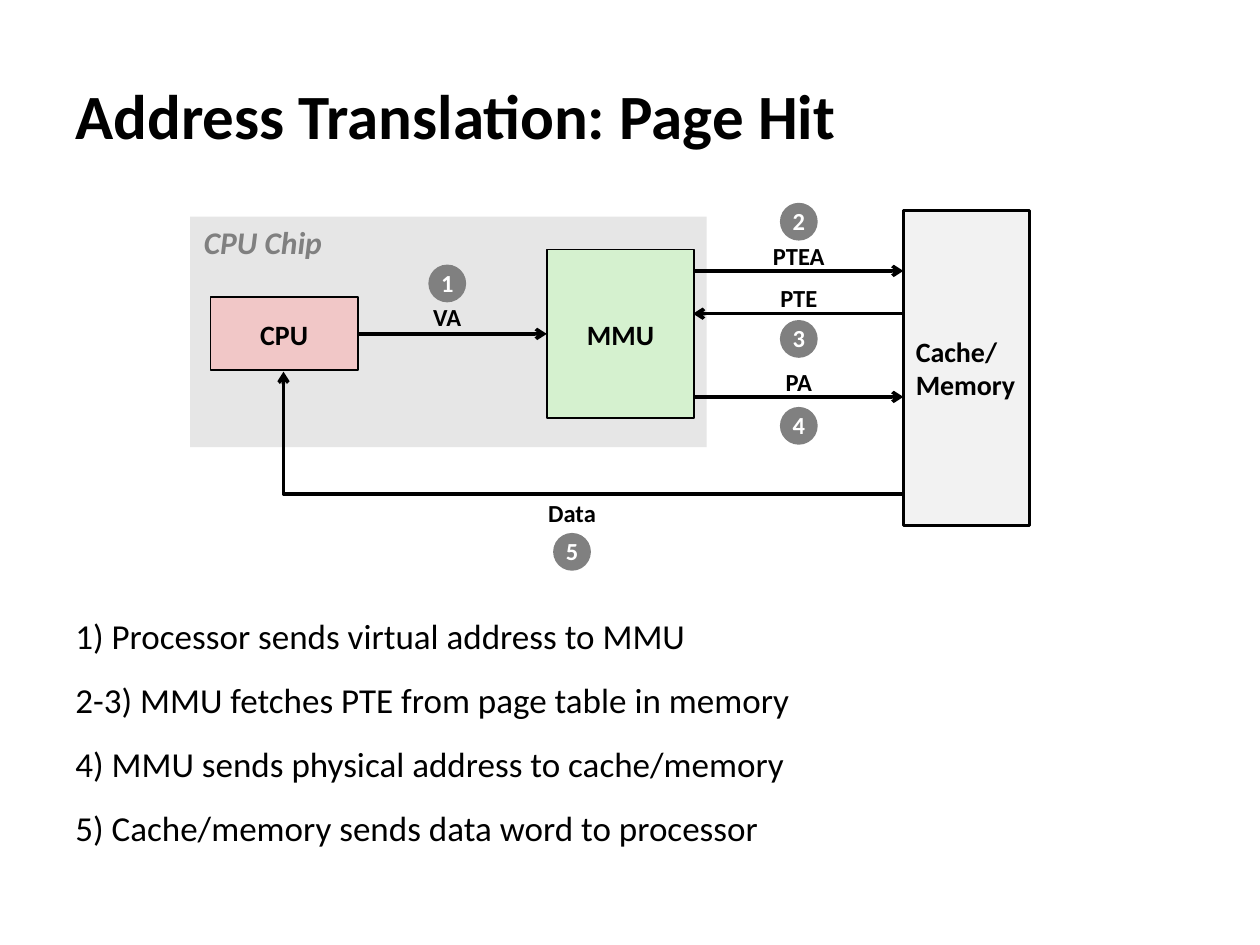
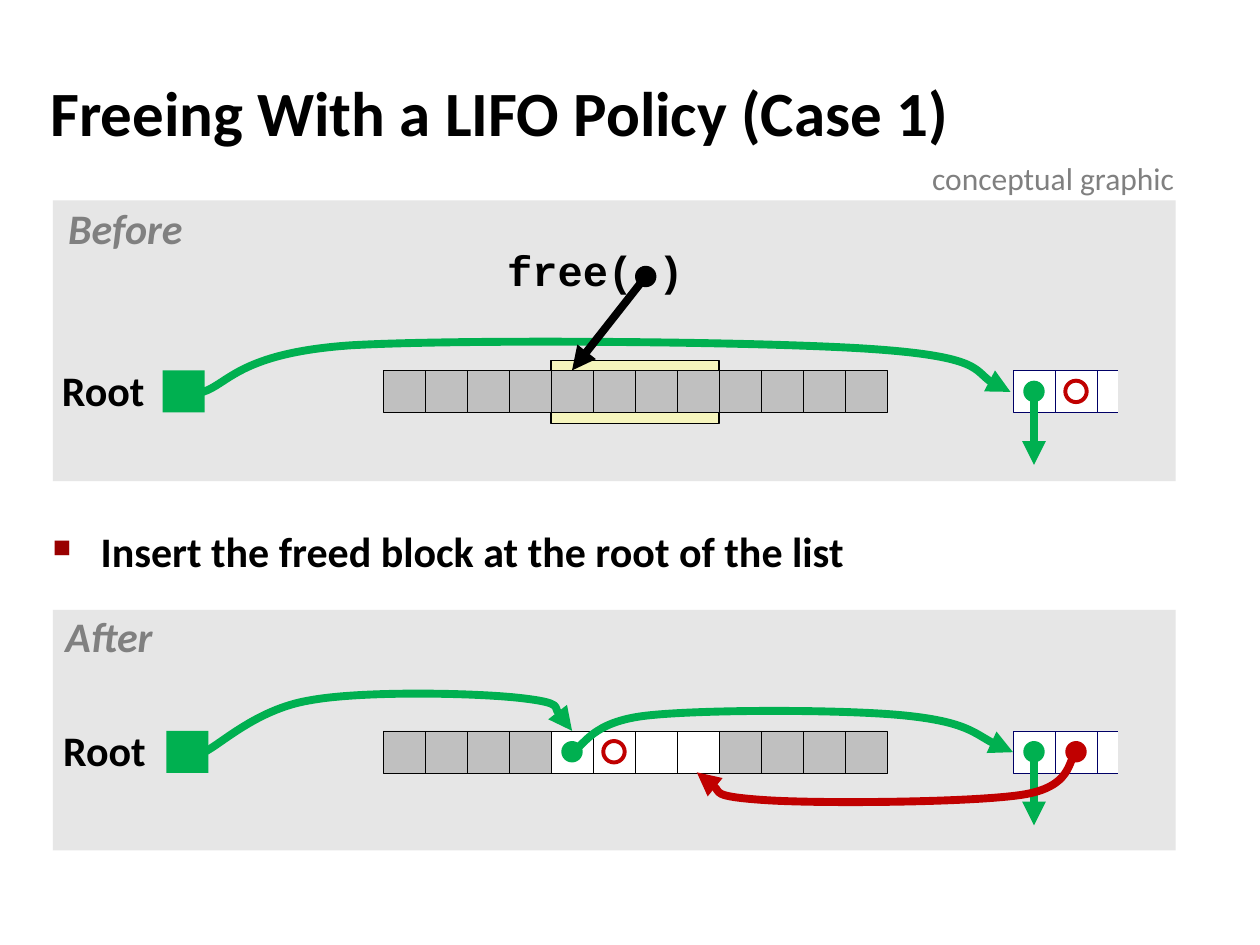
from lxml import etree
from pptx import Presentation
from pptx import util as u
from pptx.dml.color import RGBColor
from pptx.enum import shapes as sh
from pptx.enum import text as tx
from pptx.oxml.ns import qn

INK = {"black": "000000", "white": "FFFFFF", "panel": "E6E6E6", "gray": "808080",
       "cell": "C0C0C0", "cream": "F6F5BD", "green": "00B050", "red": "C00000",
       "navy": "000066", "pink": "F1C7C7", "mint": "D5F1CF", "pale": "F2F2F2",
       "bullet": "990000"}
BOX, OVAL = sh.MSO_SHAPE.RECTANGLE, sh.MSO_SHAPE.OVAL
MID, TOP = tx.MSO_ANCHOR.MIDDLE, tx.MSO_ANCHOR.TOP
LEFT, CENTER = tx.PP_ALIGN.LEFT, tx.PP_ALIGN.CENTER

TITLES = [("Address Translation: Page Hit", 0.5, 0.48, 1),
          ("Freeing With a LIFO Policy (Case 1)", 0.3, 0.5, 0.87)]

STEPS = ["1) Processor sends virtual address to MMU",
         "2-3) MMU fetches PTE from page table in memory",
         "4) MMU sends physical address to cache/memory",
         "5) Cache/memory sends data word to processor"]
CHIP = (1.51, 1.72, 4.1, 1.83)
PARTS = {"CPU": ((1.67, 2.36, 1.17, 0.58), "pink", 1),
         "MMU": ((4.34, 1.98, 1.17, 1.34), "mint", 1),
         "Cache/\nMemory": ((7.17, 1.67, 1, 2.5), "pale", 1.5)}
SIGNALS = [("VA", 3.55, 2.52, "1", 2.25), ("PTEA", 6.34, 2.04, "2", 1.76),
           ("PTE", 6.34, 2.37, "3", 2.69), ("PA", 6.34, 3.04, "4", 3.38),
           ("Data", 4.54, 4.08, "5", 4.38)]
TAG = (0.9, 0.33)
BUS = [((5.5, 2.15), (7.17, 2.15)), ((7.17, 2.49), (5.5, 2.49)),
       ((5.5, 3.15), (7.17, 3.15))]

CELL, DOT, HEAP, LIST = 1 / 3, 0.17, 3.04, 8.04
FREED = range(4, 8)
SCENES = [
    {"name": "Before", "tag": (0.48, 1.6, 1.03), "panel": (0.42, 1.59, 8.91, 2.23),
     "row": 2.94, "root": 1.29, "label": 0.44, "clear": (),
     "links": [("green", [(1.61, 3.11), (1.81, 3.05), (1.9, 2.8), (2.79, 2.74),
                          (3.67, 2.69), (6.05, 2.71), (6.92, 2.77),
                          (7.79, 2.83), (7.79, 3.04), (8.02, 3.11)])],
     "dots": [(LIST, 0, "green", True), (LIST, 1, "red", False)]},
    {"name": "After", "tag": (0.46, 4.84, 0.81), "panel": (0.42, 4.84, 8.91, 1.91),
     "row": 5.8, "root": 1.32, "label": 0.45, "clear": FREED,
     "links": [("green", [(4.54, 5.97), (4.64, 5.92), (4.69, 5.73), (5.13, 5.68),
                          (5.57, 5.63), (6.71, 5.63), (7.19, 5.68),
                          (7.67, 5.73), (7.86, 5.91), (8.04, 5.97)]),
               ("red", [(8.54, 5.98), (8.47, 6.03), (8.52, 6.25), (8.1, 6.31),
                        (7.69, 6.37), (6.49, 6.38), (6.06, 6.35),
                        (5.63, 6.32), (5.64, 6.18), (5.53, 6.13)]),
               ("green", [(1.62, 5.97), (1.76, 5.9), (2.04, 5.63), (2.45, 5.56),
                          (2.87, 5.48), (3.78, 5.5), (4.13, 5.54),
                          (4.48, 5.58), (4.46, 5.74), (4.54, 5.8)])],
     "dots": [(HEAP, 4, "green", True), (HEAP, 5, "red", False),
              (LIST, 0, "green", True), (LIST, 1, "red", True)]},
]
CALL = {"box": (3.97, 1.94, 1.51, 0.47), "dot": (5.04, 2.11), "tip": (4.54, 2.94)}
RULE = "Insert the freed block at the root of the list"


def rgb(key):
    return RGBColor.from_string(INK[key])


def inch(vals):
    return [u.Inches(v) for v in vals]


def put(page, box, fill=None, line=None, width=1, kind=BOX):
    part = page.shapes.add_shape(kind, *inch(box))
    part.shadow.inherit = False
    paint(part, fill, line, width)
    return part


def paint(part, fill, line, width):
    if fill:
        part.fill.solid()
        part.fill.fore_color.rgb = rgb(fill)
    else:
        part.fill.background()
    if line:
        part.line.color.rgb = rgb(line)
        part.line.width = u.Pt(width)
    else:
        part.line.fill.background()


def write(part, words, size, ink="black", bold=True, slant=False, font="Calibri",
          align=CENTER, anchor=MID, wrap=False, space=1, gap=0, pad=0.1):
    frame = part.text_frame
    frame.text = words
    frame.word_wrap = wrap
    frame.vertical_anchor = anchor
    frame.margin_left = frame.margin_right = u.Inches(pad)
    frame.margin_top = frame.margin_bottom = u.Inches(0.05)
    for i, para in enumerate(frame.paragraphs):
        para.alignment = align
        para.line_spacing = space
        para.space_before = u.Pt(gap if i else 0)
        for run in para.runs:
            face = run.font
            face.name, face.size, face.bold, face.italic = font, u.Pt(size), bold, slant
            face.color.rgb = rgb(ink)


def note(page, box, words, size, **look):
    part = page.shapes.add_textbox(*inch(box))
    write(part, words, size, **look)
    return part


def tip(part, style):
    etree.SubElement(part.line._get_or_add_ln(), qn("a:tailEnd"), type=style)


def wire(page, start, end, ink="black", width=2, style="arrow"):
    part = page.shapes.add_connector(sh.MSO_CONNECTOR.STRAIGHT, *inch(start + end))
    part.line.color.rgb = rgb(ink)
    part.line.width = u.Pt(width)
    tip(part, style)
    etree.SubElement(part._element.spPr, qn("a:effectLst"))
    return part


def curve(page, ink, points):
    spots = [inch(p) for p in points]
    pen = page.shapes.build_freeform(*spots[0], scale=1)
    pen.add_line_segments(spots[1:], close=False)
    part = pen.convert_to_shape()
    part.shadow.inherit = False
    paint(part, None, ink, 4.5)
    tip(part, "triangle")
    trace = part._element.find(".//" + qn("a:path"))
    steps = trace.findall(qn("a:lnTo"))
    for i in range(0, len(steps), 3):
        bend = etree.SubElement(trace, qn("a:cubicBezTo"))
        for step in steps[i:i + 3]:
            bend.append(step[0])
            trace.remove(step)


def start(deck, title):
    words, left, top, space = title
    page = deck.slides.add_slide(deck.slide_layouts[6])
    note(page, (left, top, 9.53, 0.86), words, 36, align=LEFT, wrap=True, space=space)
    return page


def hit(page):
    put(page, CHIP, "panel")
    note(page, (1.52, 1.72, 1.16, 0.4), "CPU Chip", 18, ink="gray", slant=True,
         align=LEFT, anchor=TOP)
    note(page, (0.5, 4.83, 7.42, 2.25), "\n".join(STEPS), 20, bold=False,
         align=LEFT, anchor=TOP, wrap=True, gap=12.5)
    made = {}
    for name, (box, fill, width) in PARTS.items():
        made[name] = put(page, box, fill, "black", width)
        write(made[name], name, 16, align=LEFT if "\n" in name else CENTER)
    link = wire(page, (2.84, 2.65), (4.34, 2.65))
    link.begin_connect(made["CPU"], 3)
    link.end_connect(made["MMU"], 1)
    for ends in BUS:
        wire(page, *ends)
    back = wire(page, (2.25, 2.95), (7.17, 3.92))
    back._element.spPr.find(qn("a:prstGeom")).set("prst", "bentConnector2")
    back._element.spPr.find(qn("a:xfrm")).set("rot", "10800000")
    wide, high = TAG
    for name, x, y, num, row in SIGNALS:
        note(page, (x - wide / 2, y - high / 2, wide, high), name, 14, space=0.98)
        badge = put(page, (x - 0.15, row - 0.15, 0.3, 0.3), "gray", kind=OVAL)
        write(badge, num, 14, ink="white", space=0.98)


def scene(page, data):
    row = data["row"]
    small = {"anchor": TOP, "space": 0.9, "pad": 0.05}
    put(page, data["panel"], "panel")
    if not data["clear"]:
        put(page, (HEAP + FREED[0] * CELL, row - 0.08, len(FREED) * CELL, 0.5),
            "cream", "black", 0.75)
    for i in range(12):
        fill = "white" if i in data["clear"] else "cell"
        put(page, (HEAP + i * CELL, row, CELL, CELL), fill, "black", 0.25)
    for i in range(3):
        put(page, (LIST + i * CELL, row, CELL, CELL), "white", "navy", 0.25)
    put(page, (LIST + 2.5 * CELL, row - 0.08, CELL, 0.5), "panel")
    put(page, (data["root"], row, CELL, CELL), "green")
    edge = (CELL - DOT) / 2
    for left, i, ink, solid in data["dots"]:
        box = (left + i * CELL + edge, row + edge, DOT, DOT)
        put(page, box, ink if solid else None, None if solid else ink, 2.25, OVAL)
    mid = LIST + CELL / 2
    wire(page, (mid, row + CELL / 2), (mid, row + 0.75), "green", 4.5, "triangle")
    for ink, points in data["links"]:
        curve(page, ink, points)
    note(page, (data["label"], row - 0.05, 0.76, 0.47), "Root", 24, **small)
    note(page, data["tag"] + (0.47,), data["name"], 24, ink="gray", slant=True, **small)


def free(page):
    for data in SCENES:
        scene(page, data)
    x, y = CALL["dot"]
    note(page, CALL["box"], "free( )", 24, font="Courier New", anchor=TOP,
         space=0.9, pad=0.05)
    put(page, (x, y, DOT, DOT), "black", kind=OVAL)
    wire(page, (x + DOT / 2, y + DOT / 2), CALL["tip"], "black", 4.5, "triangle")
    note(page, (7.3, 1.21, 2.17, 0.4), "conceptual graphic", 18, ink="gray",
         bold=False, align=LEFT, anchor=TOP)
    rule = note(page, (0.32, 4.15, 9.09, 0.61), RULE, 24, align=LEFT, anchor=TOP,
                wrap=True, space=0.95)
    props = rule.text_frame.paragraphs[0]._p.get_or_add_pPr()
    props.set("marL", str(u.Inches(0.38)))
    props.set("indent", str(u.Inches(-0.38)))
    tint = etree.SubElement(props, qn("a:buClr"))
    etree.SubElement(tint, qn("a:srgbClr"), val=INK["bullet"])
    etree.SubElement(props, qn("a:buSzPct"), val="60000")
    etree.SubElement(props, qn("a:buChar"), char="■")


def main():
    deck = Presentation()
    deck.slide_width, deck.slide_height = inch((10, 7.5))
    for title, draw in zip(TITLES, (hit, free)):
        draw(start(deck, title))
    deck.save("out.pptx")


if __name__ == "__main__":
    main()
